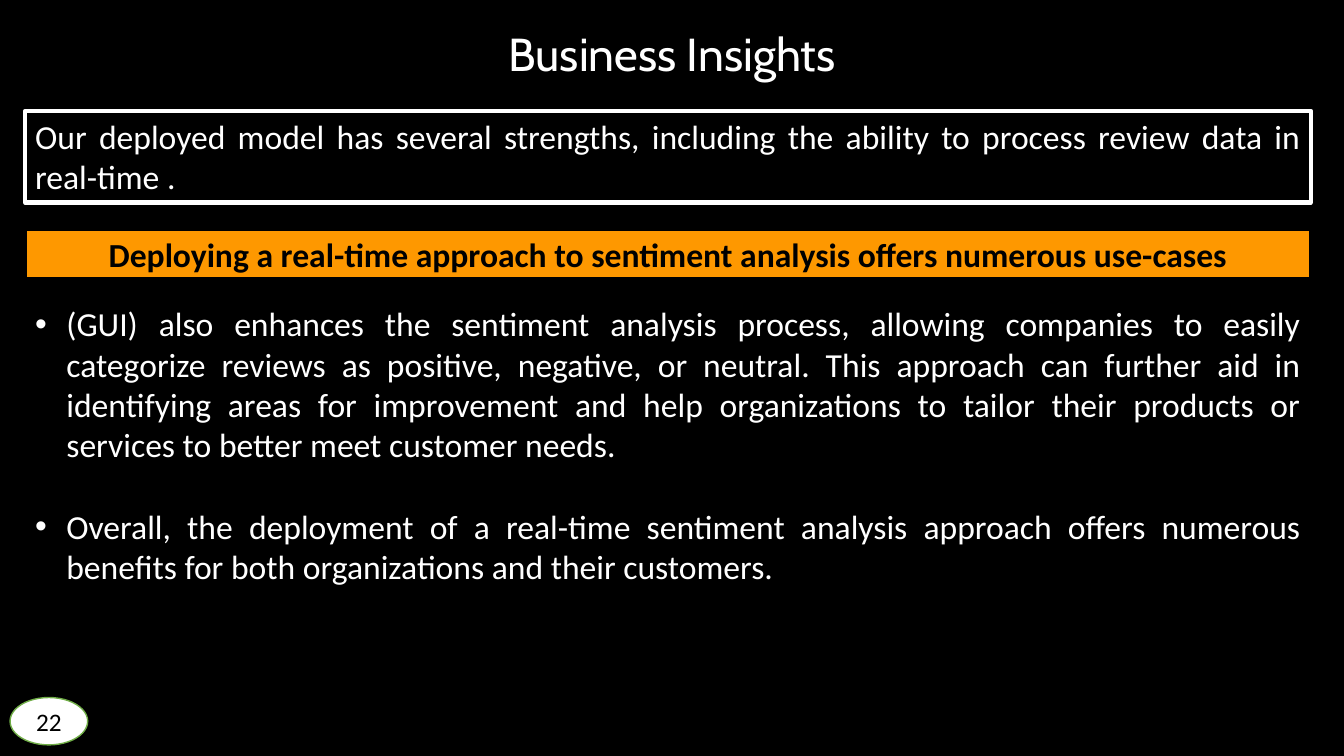
from dataclasses import dataclass

from lxml import etree
from pptx import Presentation
from pptx.dml.color import RGBColor
from pptx.enum.shapes import MSO_SHAPE
from pptx.enum.text import MSO_ANCHOR, MSO_AUTO_SIZE, PP_ALIGN
from pptx.oxml.ns import qn
from pptx.util import Emu, Pt

RECT, OVAL = MSO_SHAPE.RECTANGLE, MSO_SHAPE.OVAL
TOP, MIDDLE = MSO_ANCHOR.TOP, MSO_ANCHOR.MIDDLE
CENTER, JUSTIFY = PP_ALIGN.CENTER, PP_ALIGN.JUSTIFY
NO_FIT = MSO_AUTO_SIZE.NONE

COLORS = {
    "black": "000000",
    "white": "FFFFFF",
    "orange": "FE9800",
    "green": "70AD47",
}
SCALE = 9144  # EMU in one px, at 100 px to the inch
LEFT, WIDTH = 25, 1275
INDENT = 31
GAP = 29.3  # points between bullets: one line of 24 pt text


@dataclass
class Style:
    size: int
    color: str
    align: PP_ALIGN
    font: str = "Calibri"
    bold: bool = False


@dataclass
class Panel:
    kind: MSO_SHAPE
    box: tuple[int, int, int, int]
    text: str
    style: Style
    fill: str | None
    line: str
    weight: int
    anchor: MSO_ANCHOR = TOP


TITLE = Style(33, "white", CENTER, "Cabin")
BODY = Style(24, "white", JUSTIFY)

PANELS = [
    Panel(RECT, (LEFT, 110, WIDTH, 91),
          "Our deployed model has several strengths, including the ability "
          "to process review data in real-time .",
          BODY, None, "white", 3),
    Panel(RECT, (LEFT, 227, WIDTH, 50),
          "Deploying a real-time approach to sentiment analysis offers "
          "numerous use-cases",
          Style(24, "black", CENTER, bold=True), "orange", "black", 3),
    Panel(OVAL, (10, 692, 77, 47), "22",
          Style(18, "black", CENTER), "white", "green", 1, MIDDLE),
]

POINTS = [
    "(GUI) also enhances the sentiment analysis process, allowing companies "
    "to easily categorize reviews as positive, negative, or neutral. This "
    "approach can further aid in identifying areas for improvement and help "
    "organizations to tailor their products or services to better meet "
    "customer needs.",
    "Overall, the deployment of a real-time sentiment analysis approach "
    "offers numerous benefits for both organizations and their customers.",
]


def px(value: int) -> Emu:
    return Emu(value * SCALE)


def rgb(name: str) -> RGBColor:
    return RGBColor.from_string(COLORS[name])


def place(shape, box: tuple[int, int, int, int]) -> None:
    shape.left, shape.top, shape.width, shape.height = map(px, box)


def frame(shape, anchor: MSO_ANCHOR):
    body = shape.text_frame
    body.word_wrap = True
    body.auto_size = NO_FIT
    body.vertical_anchor = anchor
    return body


def write(para, text: str, style: Style) -> None:
    para.alignment = style.align
    run = para.add_run()
    run.text = text
    font = run.font
    font.name, font.size, font.bold = style.font, Pt(style.size), style.bold
    font.color.rgb = rgb(style.color)


def bullet(para) -> None:
    props = para._p.get_or_add_pPr()
    props.set("marL", str(px(INDENT)))
    props.set("indent", str(px(-INDENT)))
    etree.SubElement(props, qn("a:buFont"), typeface="Arial")
    etree.SubElement(props, qn("a:buChar"), char="•")


def draw_title(slide, text: str) -> None:
    title = slide.shapes.title
    place(title, (361, 21, 611, 63))
    body = frame(title, TOP)
    body.margin_left = body.margin_right = px(7)
    body.margin_top = body.margin_bottom = px(4)
    write(body.paragraphs[0], text, TITLE)


def draw_panel(slide, panel: Panel) -> None:
    shape = slide.shapes.add_shape(panel.kind, *map(px, panel.box))
    shape.shadow.inherit = False
    if panel.fill:
        shape.fill.solid()
        shape.fill.fore_color.rgb = rgb(panel.fill)
    else:
        shape.fill.background()
    shape.line.color.rgb = rgb(panel.line)
    shape.line.width = Pt(panel.weight)
    body = frame(shape, panel.anchor)
    write(body.paragraphs[0], panel.text, panel.style)


def draw_list(slide, points: list[str]) -> None:
    box = slide.shapes.add_textbox(*map(px, (LEFT, 296, WIDTH, 293)))
    body = frame(box, TOP)
    for i, text in enumerate(points):
        para = body.add_paragraph() if i else body.paragraphs[0]
        bullet(para)
        if i:
            para.space_before = Pt(GAP)
        write(para, text, BODY)


def main() -> None:
    deck = Presentation()
    deck.slide_width, deck.slide_height = px(1333), px(750)
    slide = deck.slides.add_slide(deck.slide_layouts[5])
    slide.background.fill.solid()
    slide.background.fill.fore_color.rgb = rgb("black")

    # Heading
    draw_title(slide, "Business Insights")

    # Framed statement, banner and page number
    for panel in PANELS:
        draw_panel(slide, panel)

    # Bullet points
    draw_list(slide, POINTS)

    deck.save("out.pptx")


if __name__ == "__main__":
    main()
